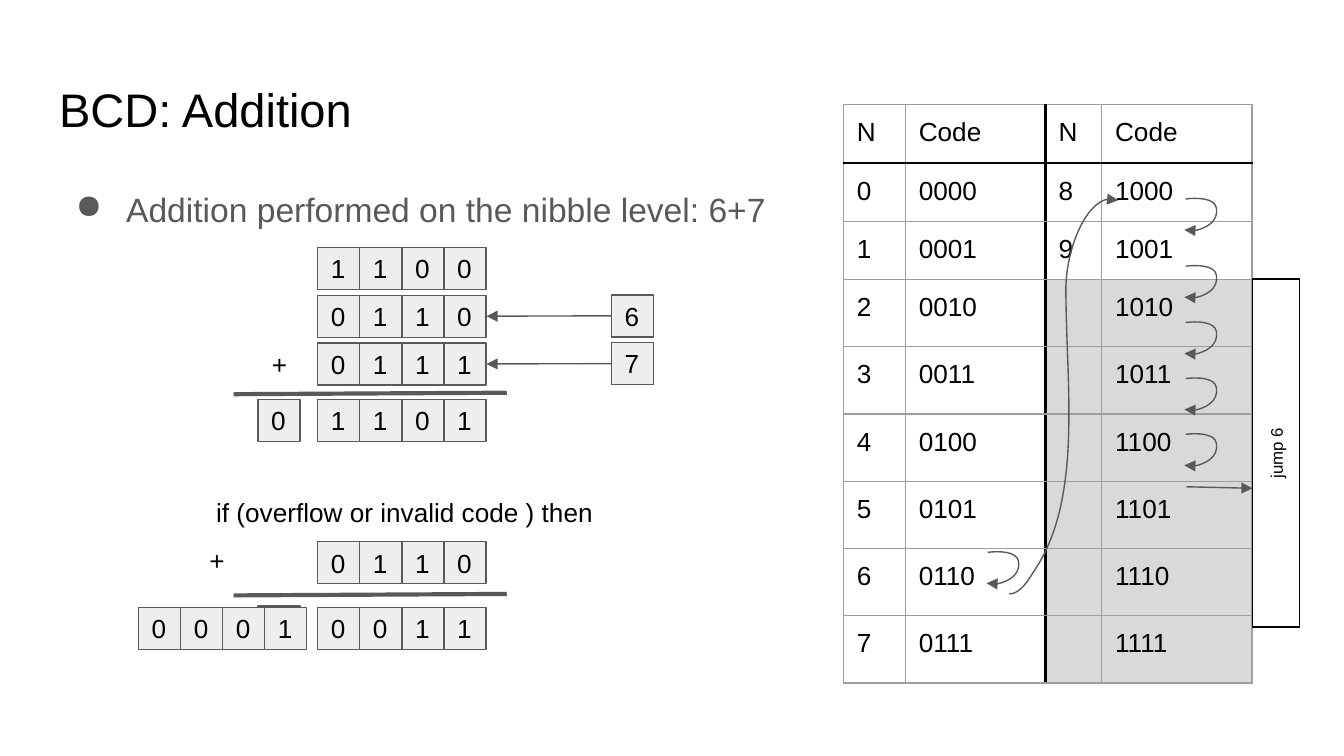
from dataclasses import dataclass

from lxml import etree
from pptx import Presentation
from pptx.dml.color import RGBColor
from pptx.enum import shapes, text
from pptx.oxml import ns
from pptx.util import Pt


@dataclass(frozen=True)
class Theme:
    font: str = "Arial"
    black: str = "000000"
    white: str = "FFFFFF"
    gray: str = "595959"
    grid: str = "9E9E9E"
    invalid: str = "D9D9D9"
    bit: str = "EEEEEE"
    title: float = 25.2
    body: float = 18
    label: float = 14
    small: float = 9
    thin: float = 0.75
    table_rule: float = 1.5
    sum_rule: float = 2.25
    inset: float = 7.2


@dataclass(frozen=True)
class Nibble:
    x: float
    y: float
    bits: str


@dataclass(frozen=True)
class Line:
    x1: float
    y1: float
    x2: float
    y2: float
    width: float = Theme.thin
    arrow: bool = True


T = Theme()
BIT_SIZE, BIT_PITCH = 22.5, 22.55
SUM_X, CARRY_X, VALUE_X = 170.2, 138.2, 327.6

NIBBLES = [
    Nibble(SUM_X, 183.8, "0111"),
    Nibble(SUM_X, 158.2, "0110"),
    Nibble(SUM_X, 132.6, "1100"),
    Nibble(SUM_X, 214, "1101"),
    Nibble(SUM_X, 290.2, "0110"),
    Nibble(SUM_X, 325.4, "0011"),
    Nibble(CARRY_X, 214, "0"),
    Nibble(CARRY_X, 324.7, "1"),
    Nibble(VALUE_X, 158, "6"),
    Nibble(VALUE_X, 183.4, "7"),
    Nibble(74.2, 325.4, "0001"),
]
LINES = [
    Line(271.5, 210.4, 125.2, 211.2, T.sum_rule, False),
    Line(271.5, 318.2, 125.2, 319, T.sum_rule, False),
    Line(VALUE_X, 169.2, 260.6, 169.4),
    Line(VALUE_X, 194.8, 260.6, 195),
    Line(635.6, 260.8, 671, 261.6),
]
LOOP = [(0, 0), (5.8, -0.7), (15.8, -0.7), (16.5, 5),
        (17.6, 12.2), (5.4, 19.4), (-0.7, 16.6)]
LOOP_STARTS = [(529.2, 295.9)] + [
    (635.2, y) for y in (106.6, 142.6, 172.8, 202.8, 232.7)]
SKIP = [(540.7, 318.2), (546.5, 318.2), (550.8, 311), (554.4, 305.3),
        (580.3, 266.4), (571, 205.2), (571, 154.8),
        (571, 134.6), (583.9, 100.8), (599, 107.3)]


def rgb(color: str) -> RGBColor:
    return RGBColor.from_string(color)


def write(tf, content: str, *, size: float = T.label, color: str = T.black,
          align=text.PP_ALIGN.LEFT, anchor=text.MSO_ANCHOR.TOP):
    tf.word_wrap = True
    tf.vertical_anchor = anchor
    tf.margin_left = tf.margin_right = Pt(T.inset)
    tf.margin_top = tf.margin_bottom = Pt(T.inset)
    p = tf.paragraphs[0]
    p.alignment = align
    r = p.add_run()
    r.text = content
    r.font.name, r.font.size = T.font, Pt(size)
    r.font.color.rgb = rgb(color)
    return p


def add_rect(parent, x: float, y: float, w: float, h: float,
             fill: str | None = None, line: str | None = None):
    sp = parent.add_shape(shapes.MSO_SHAPE.RECTANGLE, Pt(x), Pt(y), Pt(w), Pt(h))
    sp.shadow.inherit = False
    if fill:
        sp.fill.solid()
        sp.fill.fore_color.rgb = rgb(fill)
    else:
        sp.fill.background()
    if line:
        sp.line.color.rgb = rgb(line)
        sp.line.width = Pt(T.thin)
    else:
        sp.line.fill.background()
    return sp


def add_nibble(s, nibble: Nibble) -> None:
    parent = s.shapes if len(nibble.bits) == 1 else s.shapes.add_group_shape().shapes
    for i, bit in enumerate(nibble.bits):
        sp = add_rect(parent, nibble.x + i * BIT_PITCH, nibble.y,
                      BIT_SIZE, BIT_SIZE, T.bit, T.gray)
        write(sp.text_frame, bit, anchor=text.MSO_ANCHOR.MIDDLE)


def format_stroke(sp, width: float, arrow: bool) -> None:
    sp.line.color.rgb = rgb(T.gray)
    sp.line.width = Pt(width)
    if arrow:
        etree.SubElement(sp.line._get_or_add_ln(), ns.qn("a:tailEnd"), type="triangle")


def add_line(s, line: Line) -> None:
    sp = s.shapes.add_connector(shapes.MSO_CONNECTOR.STRAIGHT, Pt(line.x1),
                                Pt(line.y1), Pt(line.x2), Pt(line.y2))
    format_stroke(sp, line.width, line.arrow)
    etree.SubElement(sp._element.spPr, ns.qn("a:effectLst"))


def add_curve(s, points: list[tuple[float, float]]) -> None:
    """Draw a cubic Bezier chain: a start, then two controls and an end per segment."""
    start, *rest = [(Pt(x), Pt(y)) for x, y in points]
    builder = s.shapes.build_freeform(*start)
    builder.add_line_segments(rest, close=False)
    sp = builder.convert_to_shape()
    outline = sp._element.find(".//" + ns.qn("a:path"))
    for i, segment in enumerate(outline.findall(ns.qn("a:lnTo"))):
        if i % 3 == 0:
            curve = etree.SubElement(outline, ns.qn("a:cubicBezTo"))
        curve.append(segment[0])
        outline.remove(segment)
    sp.shadow.inherit = False
    sp.fill.background()
    format_stroke(sp, T.thin, True)


def add_border(cell, side: str, heavy: bool) -> None:
    width, color = (T.table_rule, T.black) if heavy else (T.thin, T.grid)
    ln = etree.SubElement(cell._tc.get_or_add_tcPr(), ns.qn(f"a:ln{side}"), w=str(Pt(width)))
    fill = etree.SubElement(ln, ns.qn("a:solidFill"))
    etree.SubElement(fill, ns.qn("a:srgbClr"), val=color)


def add_code_table(s) -> None:
    widths, row_height = (33.2, 75, 30.2, 80.6), 31.2
    rows = [("N", "Code") * 2] + [
        (str(n), f"{n:04b}", str(n + 8) if n < 2 else "", f"{n + 8:04b}")
        for n in range(8)]
    frame = s.shapes.add_table(len(rows), len(widths), Pt(451.8), Pt(56),
                               Pt(sum(widths)), Pt(row_height * len(rows)))
    table = frame.table
    table.first_row = table.horz_banding = False
    for column, width in zip(table.columns, widths):
        column.width = Pt(width)
    for i, row in enumerate(rows):
        table.rows[i].height = Pt(row_height)
        for j, content in enumerate(row):
            cell = table.cell(i, j)
            heavy = {"L": j == 2, "R": j == 1, "T": i == 1, "B": i == 0}
            for side, is_heavy in heavy.items():
                add_border(cell, side, is_heavy)
            if i > 2 and j > 1:
                cell.fill.solid()
                cell.fill.fore_color.rgb = rgb(T.invalid)
            else:
                cell.fill.background()
            cell.margin_left = cell.margin_right = Pt(T.inset)
            cell.margin_top = cell.margin_bottom = Pt(T.inset)
            if content:
                p = cell.text_frame.paragraphs[0]
                r = p.add_run()
                r.text = content
                r.font.name, r.font.size = T.font, Pt(T.label)
                r.font.color.rgb = rgb(T.black)


def add_bullet_text(s) -> None:
    sp = s.shapes.add_textbox(Pt(24.5), Pt(90.7), Pt(671), Pt(269))
    p = write(sp.text_frame, "Addition performed on the nibble level: 6+7",
              size=T.body, color=T.gray)
    p.line_spacing = 1.15
    pPr = p._p.get_or_add_pPr()
    pPr.set("marL", str(Pt(36)))
    pPr.set("indent", str(Pt(-27)))
    color = etree.SubElement(pPr, ns.qn("a:buClr"))
    etree.SubElement(color, ns.qn("a:srgbClr"), val=T.gray)
    etree.SubElement(pPr, ns.qn("a:buChar"), char="●")


def main() -> None:
    prs = Presentation()
    prs.slide_width, prs.slide_height = Pt(720), Pt(405)
    s = prs.slides.add_slide(prs.slide_layouts[5])
    title = s.shapes.title
    title.left, title.top, title.width, title.height = Pt(24.5), Pt(35.3), Pt(671), Pt(45.1)
    write(title.text_frame, "BCD: Addition", size=T.title, anchor=text.MSO_ANCHOR.BOTTOM)
    add_bullet_text(s)
    add_code_table(s)
    for x, y, width in ((137.5, 182.2, 24.5), (71.3, 287.3, 90)):
        sp = add_rect(s.shapes, x, y, width, 25.9, T.white)
        write(sp.text_frame, "+", align=text.PP_ALIGN.CENTER, anchor=text.MSO_ANCHOR.MIDDLE)
    for line in LINES:
        add_line(s, line)
    condition = s.shapes.add_textbox(Pt(108.7), Pt(258.5), Pt(226), Pt(31.7))
    write(condition.text_frame, "if (overflow or invalid code ) then")
    for nibble in NIBBLES:
        add_nibble(s, nibble)
    for x, y in LOOP_STARTS:
        add_curve(s, [(x + dx, y + dy) for dx, dy in LOOP])
    add_curve(s, SKIP)
    jump = add_rect(s.shapes, 590.4, 230, 186.5, 25.2, line=T.black)
    jump.rotation = 270
    write(jump.text_frame, "jump 6", size=T.small, align=text.PP_ALIGN.CENTER)
    prs.save("out.pptx")


if __name__ == "__main__":
    main()
